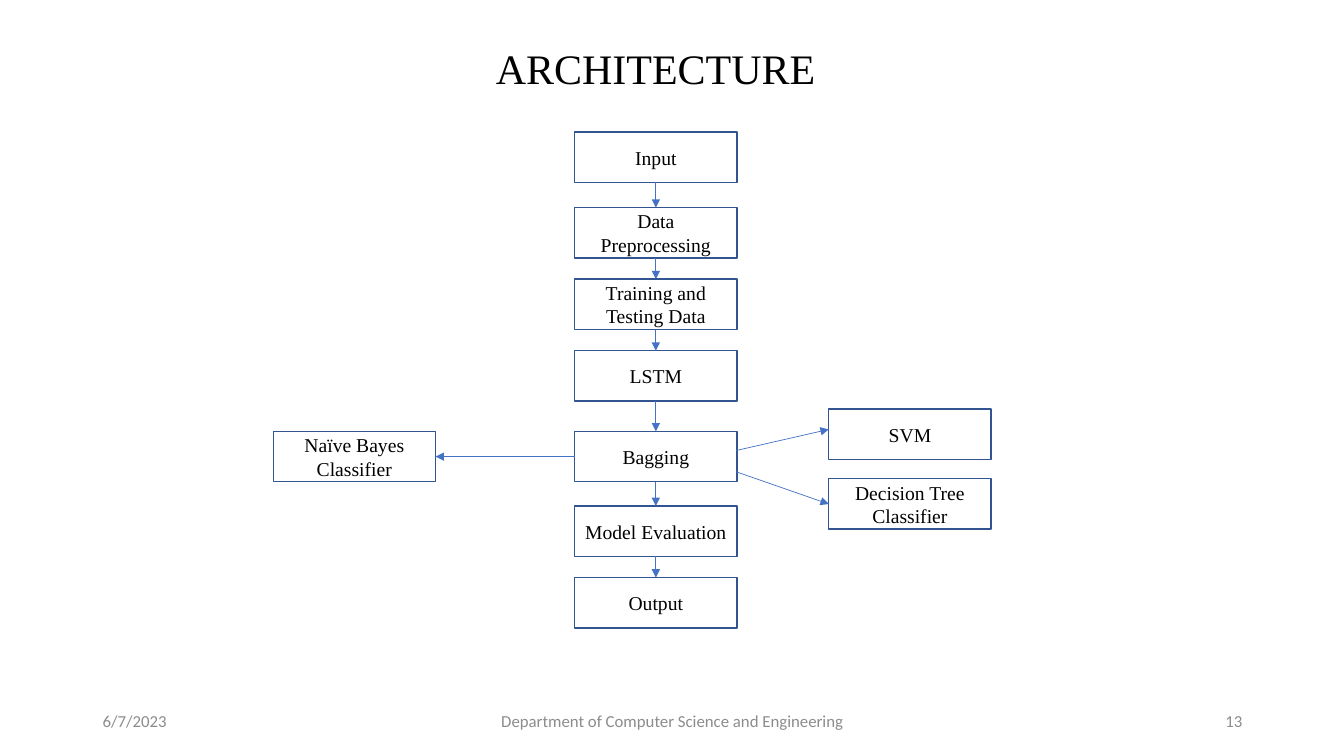
from itertools import pairwise

from lxml import etree
from pptx import Presentation
from pptx.dml.color import RGBColor
from pptx.enum import shapes, text
from pptx.oxml import ns
from pptx.util import Inches, Pt

COLORS = {"ink": "000000", "footer": "8C8C8C", "border": "325491", "arrow": "4472C4"}
BOX_WIDTH, BOX_HEIGHT = 1.61, 0.5
TOP, LEFT, BOTTOM, RIGHT = range(4)
ALIGN = text.PP_ALIGN

MAIN_LEFT = 5.7
MAIN_STEPS = [
    ("Input", 1.31),
    ("Data Preprocessing", 2.06),
    ("Training and Testing Data", 2.77),
    ("LSTM", 3.48),
    ("Bagging", 4.28),
    ("Model Evaluation", 5.02),
    ("Output", 5.73),
]
FOOTERS = [
    ("6/7/2023", 0.92, 3, ALIGN.LEFT),
    ("Department of Computer Science and Engineering", 4.42, 4.5, ALIGN.CENTER),
    ("13", 9.42, 3, ALIGN.RIGHT),
]


def color(name):
    return RGBColor.from_string(COLORS[name])


def write(box, words, size=14, font="Times New Roman", ink="ink",
          align=ALIGN.CENTER, anchor=text.MSO_ANCHOR.MIDDLE):
    frame = box.text_frame
    frame.word_wrap = True
    frame.vertical_anchor = anchor
    para = frame.paragraphs[0]
    para.alignment = align
    span = para.add_run()
    span.text = words
    span.font.size = Pt(size)
    span.font.name = font
    span.font.color.rgb = color(ink)


def add_label(page, words, left, top, width, height, **style):
    box = page.shapes.add_textbox(*map(Inches, (left, top, width, height)))
    write(box, words, **style)


def add_step(page, words, left, top):
    box = page.shapes.add_shape(
        shapes.MSO_SHAPE.RECTANGLE, *map(Inches, (left, top, BOX_WIDTH, BOX_HEIGHT)))
    box.shadow.inherit = False
    box.fill.background()
    box.line.color.rgb = color("border")
    box.line.width = Pt(1)
    write(box, words)
    return box


def add_arrow(page, start=(0, 0), end=(0, 0), source=None, target=None):
    """Draw from start to end; source and target are (box, side) joints that override them."""
    arrow = page.shapes.add_connector(
        shapes.MSO_CONNECTOR.STRAIGHT, *map(Inches, (*start, *end)))
    if source:
        arrow.begin_connect(*source)
    if target:
        arrow.end_connect(*target)
    arrow.line.color.rgb = color("arrow")
    arrow.line.width = Pt(0.5)
    etree.SubElement(arrow.line._get_or_add_ln(), ns.qn("a:tailEnd"), type="triangle")
    etree.SubElement(arrow._element.spPr, ns.qn("a:effectLst"))


def main():
    deck = Presentation()
    deck.slide_width, deck.slide_height = Inches(13.33), Inches(7.5)
    page = deck.slides.add_slide(deck.slide_layouts[6])

    add_label(page, "ARCHITECTURE", 4.82, 0.37, 4.2, 0.61,
              size=30, align=ALIGN.LEFT, anchor=text.MSO_ANCHOR.TOP)
    for words, left, width, align in FOOTERS:
        add_label(page, words, left, 6.95, width, 0.4,
                  size=12, font="Calibri", ink="footer", align=align)

    steps = {words: add_step(page, words, MAIN_LEFT, top) for words, top in MAIN_STEPS}
    for upper, lower in pairwise(steps.values()):
        add_arrow(page, source=(upper, BOTTOM), target=(lower, TOP))

    bayes = add_step(page, "Naïve Bayes Classifier", 2.71, 4.28)
    add_step(page, "SVM", 8.22, 4.06)
    tree = add_step(page, "Decision Tree Classifier", 8.22, 4.75)
    add_arrow(page, source=(steps["Bagging"], LEFT), target=(bayes, RIGHT))
    add_arrow(page, start=(7.3, 4.47), end=(8.22, 4.26))
    add_arrow(page, start=(7.3, 4.68), target=(tree, LEFT))

    deck.save("out.pptx")


if __name__ == "__main__":
    main()
